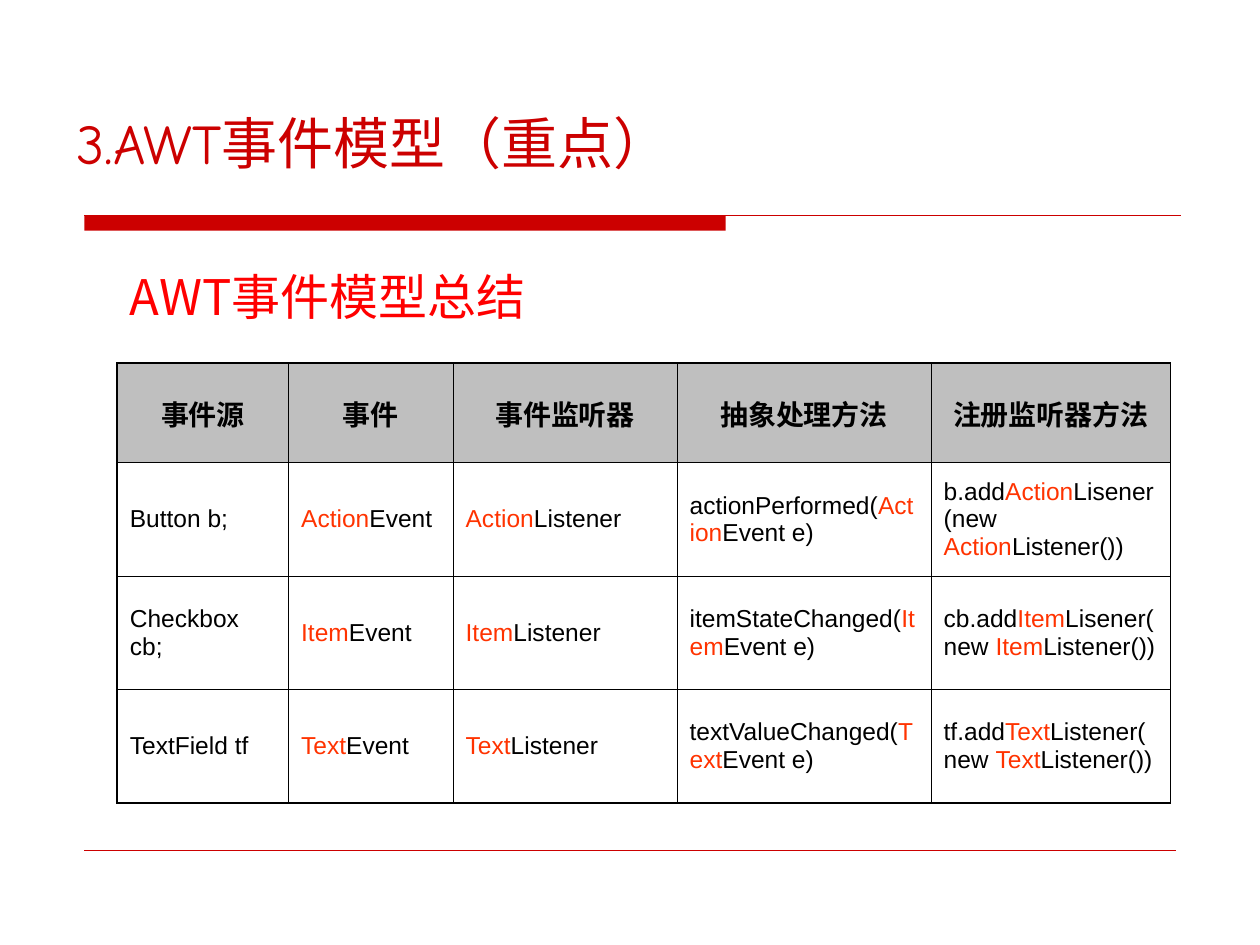
from dataclasses import dataclass

from lxml.etree import SubElement
from pptx import Presentation
from pptx.dml.color import RGBColor
from pptx.enum.shapes import MSO_CONNECTOR as Connector, MSO_SHAPE as Shape
from pptx.enum.text import MSO_ANCHOR as Anchor, PP_ALIGN as Align
from pptx.oxml.ns import qn
from pptx.util import Pt

RED, BRIGHT_RED, ORANGE, BLACK, GRAY = "CC0000", "FF0000", "FF3300", "000000", "BFBFBF"
CJK = "Noto Sans CJK SC"
OUTER, INNER = 1.08, 0.45


@dataclass(frozen=True)
class Style:
    size: float
    font: str
    color: str
    bold: bool = False


@dataclass(frozen=True)
class EventKind:
    source: str
    stem: str
    method: str
    variable: str
    adder_suffix: str

    def cells(self) -> list[list[str]]:
        return [
            [self.source],
            [self.stem, "Event"],
            [self.stem, "Listener"],
            [f"{self.method}(", self.stem, "Event e)"],
            [f"{self.variable}.add", self.stem, f"{self.adder_suffix}(new ",
             self.stem, "Listener())"],
        ]


TITLE = Style(32, "Comic Neue", RED)
SUBTITLE = Style(28, CJK, BRIGHT_RED)
HEADING = Style(16, "Arial", BLACK, True)
BODY = Style(14, "Arial", BLACK)
STEM = Style(14, "Arial", ORANGE)

HEADINGS = ["事件源", "事件", "事件监听器", "抽象处理方法", "注册监听器方法"]
EVENTS = [
    EventKind("Button b;", "Action", "actionPerformed", "b", "Lisener"),
    EventKind("Checkbox cb;", "Item", "itemStateChanged", "cb", "Lisener"),
    EventKind("TextField tf", "Text", "textValueChanged", "tf", "Listener"),
]
COLUMN_WIDTHS = [97.9, 94, 128, 145.2, 136.8]
ROW_HEIGHTS = [57] + [64.8] * len(EVENTS)


def rgb(color: str) -> RGBColor:
    return RGBColor.from_string(color)


def add_run(paragraph, text: str, style: Style) -> None:
    run = paragraph.add_run()
    run.text = text
    run.font.size = Pt(style.size)
    run.font.bold = style.bold
    run.font.color.rgb = rgb(style.color)
    run.font.name = style.font
    SubElement(run.font._element, qn("a:ea"), typeface=CJK)


def add_text(slide, left: float, top: float, width: float, height: float,
             text: str, style: Style, anchor: Anchor) -> None:
    frame = slide.shapes.add_textbox(Pt(left), Pt(top), Pt(width), Pt(height)).text_frame
    frame.word_wrap = True
    frame.vertical_anchor = anchor
    add_run(frame.paragraphs[0], text, style)


def add_rule(slide, left: float, right: float, y: float, weight: float) -> None:
    rule = slide.shapes.add_connector(Connector.STRAIGHT, Pt(left), Pt(y), Pt(right), Pt(y))
    rule.line.color.rgb = rgb(RED)
    rule.line.width = Pt(weight)
    SubElement(rule._element.spPr, qn("a:effectLst"))


def add_bar(slide, left: float, top: float, width: float, height: float) -> None:
    bar = slide.shapes.add_shape(Shape.RECTANGLE, Pt(left), Pt(top), Pt(width), Pt(height))
    bar.shadow.inherit = False
    bar.fill.solid()
    bar.fill.fore_color.rgb = rgb(RED)
    bar.line.fill.background()


def set_borders(cell, row: int, column: int) -> None:
    properties = cell._tc.get_or_add_tcPr()
    on_edge = {
        "L": column == 0,
        "R": column == len(COLUMN_WIDTHS) - 1,
        "T": row == 0,
        "B": row == len(ROW_HEIGHTS) - 1,
    }
    for side, outer in on_edge.items():
        weight = Pt(OUTER if outer else INNER)
        line = SubElement(properties, qn(f"a:ln{side}"), w=str(weight))
        fill = SubElement(line, qn("a:solidFill"))
        SubElement(fill, qn("a:srgbClr"), val=BLACK)


def add_event_table(slide, left: float, top: float) -> None:
    table = slide.shapes.add_table(
        len(ROW_HEIGHTS), len(COLUMN_WIDTHS), Pt(left), Pt(top),
        Pt(sum(COLUMN_WIDTHS)), Pt(sum(ROW_HEIGHTS))).table
    for column, width in zip(table.columns, COLUMN_WIDTHS):
        column.width = Pt(width)
    for row, height in zip(table.rows, ROW_HEIGHTS):
        row.height = Pt(height)

    contents = [[[heading] for heading in HEADINGS]] + [event.cells() for event in EVENTS]
    stems = {event.stem for event in EVENTS}
    for r, row_parts in enumerate(contents):
        for c, parts in enumerate(row_parts):
            cell = table.cell(r, c)
            cell.vertical_anchor = Anchor.MIDDLE
            set_borders(cell, r, c)
            paragraph = cell.text_frame.paragraphs[0]
            if r == 0:
                cell.fill.solid()
                cell.fill.fore_color.rgb = rgb(GRAY)
                paragraph.alignment = Align.CENTER
            else:
                cell.fill.background()
            for part in parts:
                body = STEM if part in stems else BODY
                add_run(paragraph, part, HEADING if r == 0 else body)


def main() -> None:
    presentation = Presentation()
    presentation.slide_width, presentation.slide_height = Pt(720), Pt(540)
    slide = presentation.slides.add_slide(presentation.slide_layouts[6])

    add_bar(slide, 48.2, 123.1, 366.5, 8.7)
    add_rule(slide, 48.2, 674.6, 123.1, 0.75)
    add_rule(slide, 48.2, 671.8, 486, 0.25)
    add_text(slide, 36.7, 37.4, 612, 66.3, "3.AWT事件模型（重点）", TITLE, Anchor.BOTTOM)
    add_text(slide, 67, 149, 486, 41, "AWT事件模型总结", SUBTITLE, Anchor.TOP)
    add_event_table(slide, 67, 207.4)

    presentation.save("out.pptx")


if __name__ == "__main__":
    main()
